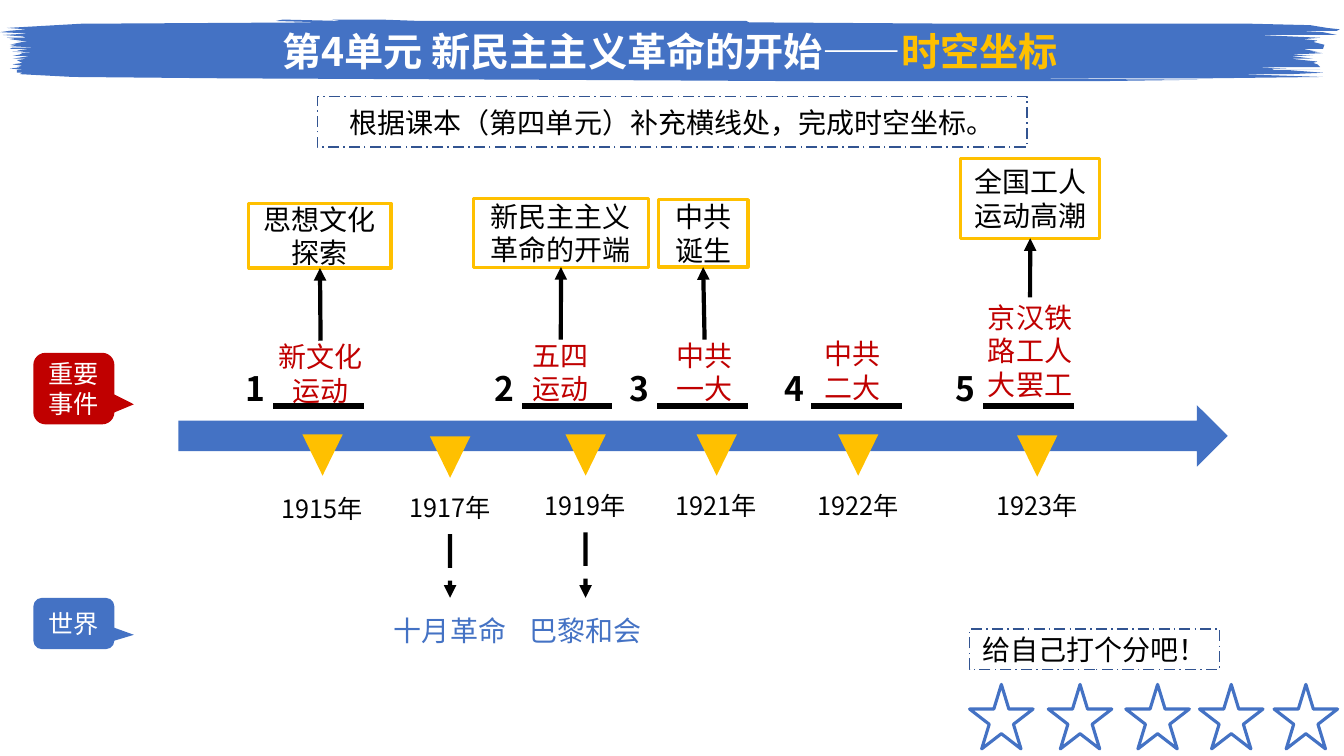
from lxml.etree import SubElement
from pptx import Presentation
from pptx.dml.color import RGBColor
from pptx.enum.dml import MSO_LINE as Dash
from pptx.enum.shapes import MSO_CONNECTOR, MSO_SHAPE as Shape
from pptx.enum.text import MSO_ANCHOR, PP_ALIGN
from pptx.oxml.ns import qn
from pptx.util import Pt

FONT = "Noto Sans CJK SC"
BLUE, GOLD, RED = "4472C4", "FFC000", "C00000"
NAVY, BLACK, WHITE = "325491", "000000", "FFFFFF"
TOP, BOTTOM = 0, 2

TITLE = "第4单元 新民主主义革命的开始——"
TITLE_ACCENT = "时空坐标"

# Brush stroke outline, counterclockwise from the upper left
BRUSH = [
    (2, 25.2), (16.5, 25.9), (18.7, 26.6), (5, 27.4), (11.5, 28.1), (7.2, 28.4),
    (21, 29.5), (11.5, 29.7), (16.5, 30.2), (7.2, 31.7), (11.5, 32.2), (7.2, 32.6),
    (26, 33.8), (9.4, 34), (7.2, 34.6), (21, 35.3), (11.5, 36), (18.7, 36.6),
    (9.4, 36.9), (26, 37.5), (16.5, 38.2), (14.4, 38.9), (9.4, 39.6), (21, 40.3),
    (9.4, 41.8), (18.7, 42.5), (11.5, 43.2), (16.5, 44.6), (9.4, 46.1), (16.5, 47.3),
    (11.5, 47.7), (16.5, 48.2), (7.2, 49), (18.7, 49.5), (11.5, 49.8), (11.5, 51.8),
    (16.5, 52), (14.4, 53.3), (51.8, 55.4), (162, 56.2), (382, 56.9), (575, 57.6),
    (785, 57.6), (856, 56.9), (706, 56.2), (861, 56.2), (945, 54.7), (884, 53.3),
    (922, 52.6), (945, 51.8), (919, 50.4), (943, 50.2), (910, 49.7), (908, 49),
    (919, 48.8), (896, 48.2), (943, 47.5), (941, 46.1), (938, 44.6), (941, 43.9),
    (922, 41.8), (938, 41.6), (922, 40.3), (938, 40.1), (922, 38.9), (945, 38.2),
    (936, 37.4), (941, 36.7), (931, 35.3), (945, 34.6), (946, 32), (938, 30.2),
    (941, 28.8), (931, 28.1), (943, 27.4), (899, 25.2), (955, 25.2), (945, 23),
    (927, 22.3), (955, 22.3), (957, 21), (948, 20.2), (936, 18), (894, 16.6),
    (692, 16.6), (535, 15.8), (533, 15.1), (448, 14.9), (361, 15.1), (300, 15.1),
    (272, 14.4), (237, 14.4), (244, 15.1), (202, 14.4), (197, 15.1), (230, 15.8),
    (58, 17.3), (5, 20.2), (18.7, 20.9), (7.2, 22.3), (0, 23), (21, 24.5),
]

# Year, centre, marker top, label top, world event
YEARS = [
    ("1915年", 230.4, 310.3, 344.2, None),
    ("1917年", 321.5, 311.8, 343.4, "十月革命"),
    ("1919年", 418.3, 310.3, 342, "巴黎和会"),
    ("1921年", 511.9, 310.3, 342, None),
    ("1922年", 613, 310.3, 342, None),
    ("1923年", 740.9, 311, 342, None),
]

# Number left, event, event box, outcome, outcome box
EVENTS = [
    (168.5, "新文化运动", (185.8, 243.4, 86.4, 46.1), "思想文化探索", (177.8, 145.4, 101.5, 46.1)),
    (346.3, "五四运动", (363.6, 242.6, 74, 46.1), "新民主主义革命的开端", (338.4, 141.8, 124.6, 49)),
    (442.8, "中共\n一大", (460.1, 242.6, 86.4, 46.1), "中共诞生", (470.2, 142.6, 64.1, 48.2)),
    (553, "中共二大", (571.7, 236.2, 74, 56.2), None, None),
    (675.7, "京汉铁路工人大罢工", (692.6, 212.4, 86.4, 76.3), "全国工人运动高潮", (686.2, 113, 99.4, 57.2)),
]


def rgb(hex_code):
    return RGBColor.from_string(hex_code)


def set_text(box, text, size, color, bold=False, font=FONT):
    frame = box.text_frame
    frame.word_wrap = True
    frame.vertical_anchor = MSO_ANCHOR.MIDDLE
    frame.text = text
    for para in frame.paragraphs:
        para.alignment = PP_ALIGN.CENTER
        para.font.size, para.font.bold = Pt(size), bold
        para.font.color.rgb = rgb(color)
        para.font.name = font
        defaults = para._p.pPr.find(qn("a:defRPr"))
        SubElement(defaults, qn("a:ea"), typeface=font)


def paint(shape, fill=None, line=None, width=1, dash=None):
    shape.shadow.inherit = False
    if fill:
        shape.fill.solid()
        shape.fill.fore_color.rgb = rgb(fill)
    else:
        shape.fill.background()
    if line:
        shape.line.color.rgb = rgb(line)
        shape.line.width = Pt(width)
        if dash:
            shape.line.dash_style = dash
    else:
        shape.line.fill.background()


def add_shape(page, kind, area, **style):
    shape = page.shapes.add_shape(kind, *map(Pt, area))
    paint(shape, **style)
    return shape


def add_label(page, text, area, size, color, bold=False):
    box = page.shapes.add_textbox(*map(Pt, area))
    set_text(box, text, size, color, bold)
    return box


def add_line(page, ends, width):
    line = page.shapes.add_connector(MSO_CONNECTOR.STRAIGHT, *map(Pt, ends))
    line.line.color.rgb = rgb(BLACK)
    line.line.width = Pt(width)
    SubElement(line._element.spPr, qn("a:effectLst"))
    return line


def add_arrow(page, start, start_side, end, end_side, dash=None):
    """Join the middles of two box sides with an arrow."""
    arrow = add_line(page, (0, 0, 0, 0), 3)
    arrow.begin_connect(start, start_side)
    arrow.end_connect(end, end_side)
    if dash:
        arrow.line.dash_style = dash
    SubElement(arrow.line._get_or_add_ln(), qn("a:tailEnd"), type="triangle")


def add_banner(page):
    builder = page.shapes.build_freeform(*BRUSH[0], scale=Pt(1))
    builder.add_line_segments(BRUSH[1:])
    banner = builder.convert_to_shape()
    paint(banner, fill=BLUE)
    set_text(banner, TITLE, 28, WHITE, bold=True)
    span = banner.text_frame.paragraphs[0].add_run()
    span.text = TITLE_ACCENT
    span.font.color.rgb = rgb(GOLD)


def add_note(page, text, area):
    note = add_shape(page, Shape.RECTANGLE, area, line=NAVY, dash=Dash.LONG_DASH_DOT)
    set_text(note, text, 20, BLACK)


def add_callout(page, text, top, height, color):
    callout = add_shape(page, Shape.ROUNDED_RECTANGULAR_CALLOUT,
                        (23.8, top, 57.9, height), fill=color)
    for index, value in enumerate((0.74, 0.22, 0.17)):
        callout.adjustments[index] = value
    set_text(callout, text, 18, WHITE, font="Arial")


def add_year(page, year, center, marker_top, label_top, world_event):
    marker = add_shape(page, Shape.FLOWCHART_EXTRACT,
                       (center - 14.4, marker_top, 28.8, 29.5), fill=GOLD)
    marker.rotation = 180
    label = add_label(page, year, (center - 41.8, label_top, 83.5, 38.2), 18, BLACK)
    if world_event:
        event = add_label(page, world_event, (center - 51.5, 427, 103, 46.1), 20, BLUE)
        add_arrow(page, label, BOTTOM, event, TOP, Dash.LONG_DASH)


def add_event(page, number, left, name, name_area, outcome, outcome_area):
    event = add_label(page, name, name_area, 20, RED)
    add_line(page, (left + 26.6, 290.2, left + 91.2, 290.2), 4.5)
    add_label(page, str(number), (left, 259.5, 27.4, 36), 24, BLACK, bold=True)
    if outcome:
        box = add_shape(page, Shape.RECTANGLE, outcome_area, line=GOLD, width=2.25)
        set_text(box, outcome, 20, BLACK)
        add_arrow(page, event, TOP, box, BOTTOM)


def main():
    deck = Presentation()
    deck.slide_width, deck.slide_height = Pt(960), Pt(540)
    page = deck.slides.add_slide(deck.slide_layouts[6])
    add_banner(page)
    add_shape(page, Shape.RIGHT_ARROW, (127.4, 289.4, 749.5, 43.9), fill=BLUE)
    add_note(page, "根据课本（第四单元）补充横线处，完成时空坐标。", (226.8, 69.1, 506.9, 36))
    for year in YEARS:
        add_year(page, *year)
    add_callout(page, "世界", 427, 36.7, BLUE)
    add_callout(page, "重要事件", 252, 51.1, RED)
    for number, event in enumerate(EVENTS, 1):
        add_event(page, number, *event)
    for left in (692.6, 748.8, 804.2, 856.8, 910.1):
        add_shape(page, Shape.STAR_5_POINT, (left, 488.9, 45.4, 46.1),
                  fill=WHITE, line=BLUE, width=2.25)
    add_note(page, "给自己打个分吧！", (692.6, 449.3, 178.6, 28.8))
    deck.save("out.pptx")


if __name__ == "__main__":
    main()
